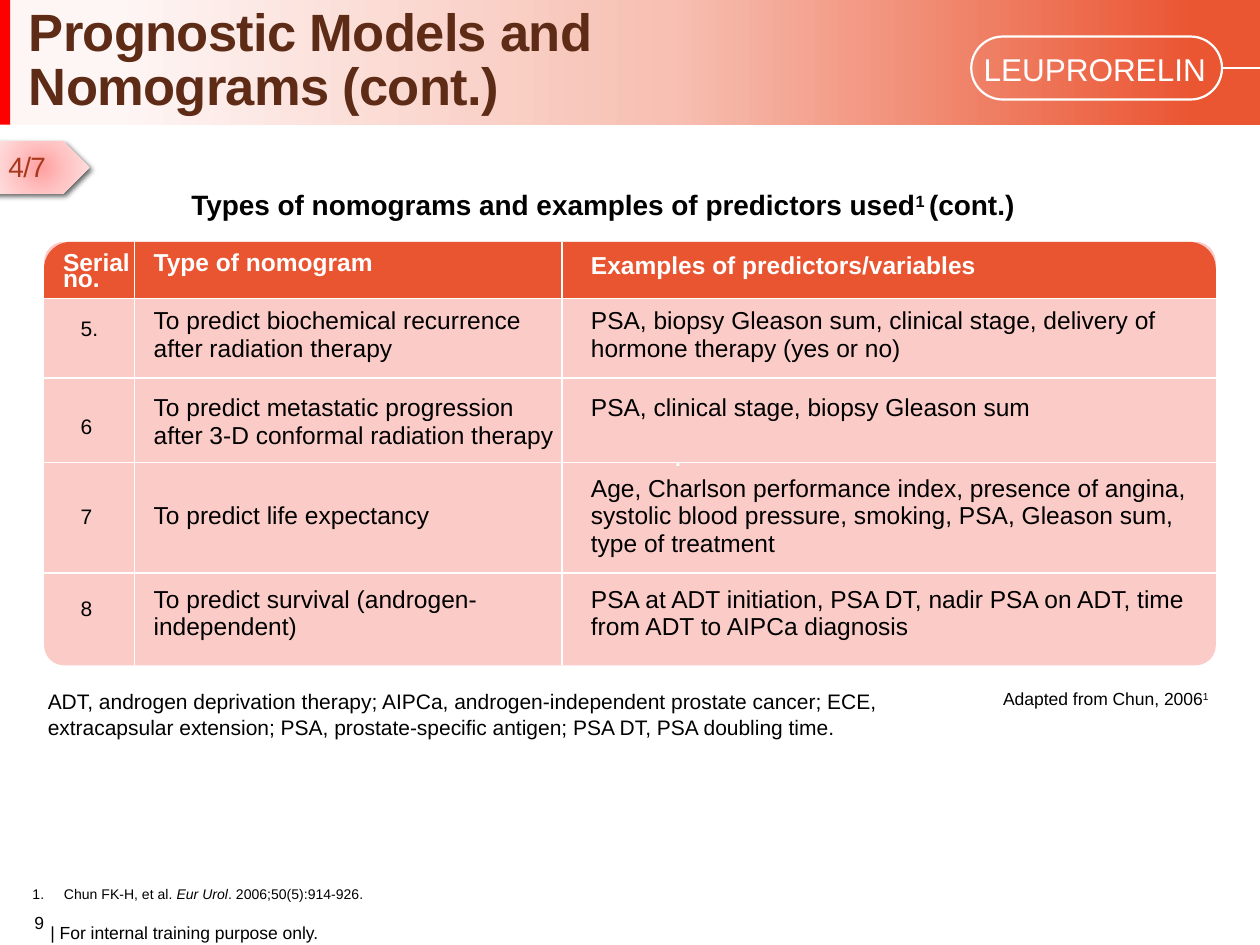
"""Build the slide on prognostic models and nomograms."""
from lxml.etree import SubElement
from pptx import Presentation
from pptx.dml.color import RGBColor
from pptx.enum.shapes import MSO_CONNECTOR, MSO_SHAPE
from pptx.enum.text import MSO_ANCHOR, PP_ALIGN
from pptx.oxml.ns import qn
from pptx.util import Pt

WHITE = RGBColor(0xFF, 0xFF, 0xFF)
BLACK = RGBColor(0, 0, 0)
RED = RGBColor(0xFF, 0, 0)
ORANGE = RGBColor(0xE9, 0x55, 0x31)
PINK = RGBColor(0xFB, 0xCB, 0xC7)
BROWN = RGBColor(0x5E, 0x2C, 0x16)
RUST = RGBColor(0xA7, 0x38, 0x1D)
BANNER_STOPS = [(9, RGBColor(0xFE, 0xF6, 0xF5)), (53, RGBColor(0xF7, 0xC0, 0xB3)),
                (95, RGBColor(0xEA, 0x55, 0x32))]
TAG_STOPS = [(0, RGBColor(0xFF, 0xA0, 0xA0)), (50, RGBColor(0xFF, 0xC5, 0xC5)),
             (100, RGBColor(0xFF, 0xE3, 0xE3))]
NO_GRID_STYLE = "{2D5ABB26-0587-4C30-8999-92F81FD0307C}"

TABLE_LEFT, TABLE_TOP = 25.2, 138.2
COLUMN_WIDTHS = [51.8, 244.1, 373.7]
ROW_HEIGHTS = [32.4, 45.4, 48.2, 63.4, 52.6]
TABLE_WIDTH, TABLE_HEIGHT = sum(COLUMN_WIDTHS), sum(ROW_HEIGHTS)
HEADER_INDENTS = [10.8, 10.8, 16.6]
BODY_INDENTS = [20.9, 10.8, 16.6]
ROWS = [
    ["Serial\nno.", "Type of nomogram", "Examples of predictors/variables"],
    ["5.", "To predict biochemical recurrence after radiation therapy",
     "PSA, biopsy Gleason sum, clinical stage, delivery of hormone therapy (yes or no)"],
    ["6", "To predict metastatic progression after 3-D conformal radiation therapy",
     "PSA, clinical stage, biopsy Gleason sum"],
    ["7", "To predict life expectancy",
     "Age, Charlson performance index, presence of angina, systolic blood pressure, "
     "smoking, PSA, Gleason sum, type of treatment"],
    ["8", "To predict survival (androgen-independent)",
     "PSA at ADT initiation, PSA DT, nadir PSA on ADT, time from ADT to AIPCa diagnosis"],
]
TEXT_OFFSETS = [(4.3, 4.3, 5.8), (10.8, 5, 5), (21.6, 9.4, 9.4), (24.5, 23, 7.2), (13.7, 7.2, 7.2)]

TITLE = [("Prognostic Models and\vNomograms (cont.)", "")]
SUBTITLE = [("Types of nomograms and examples of predictors used", ""),
            ("1 ", "superscript"), ("(cont.)", "")]
ABBREVIATIONS = [("ADT, androgen deprivation therapy; AIPCa, androgen-independent prostate cancer; "
                  "ECE, extracapsular extension; PSA, prostate-specific antigen; PSA DT, "
                  "PSA doubling time.", "")]
SOURCE = [("Adapted from Chun, 2006", ""), ("1", "superscript")]
REFERENCE = [("Chun FK-H, et al. ", ""), ("Eur Urol", "italic"), (". 2006;50(5):914-926.", "")]


def style_font(font, size, color, bold=False):
    font.name, font.size, font.bold = "Arial", Pt(size), bold
    font.color.rgb = color


def add_shape(slide, kind, box, fill=None, line=None):
    shape = slide.shapes.add_shape(kind, *map(Pt, box))
    shape.shadow.inherit = False
    if fill is None:
        shape.fill.background()
    else:
        shape.fill.solid()
        shape.fill.fore_color.rgb = fill
    if line is None:
        shape.line.fill.background()
    else:
        shape.line.color.rgb = line
        shape.line.width = Pt(1.25)
    return shape


def add_color(parent, color):
    return SubElement(parent, qn("a:srgbClr"), val=str(color))


def set_gradient(shape, stops, radial=False):
    shape.fill.gradient()
    gradient = shape._element.spPr.find(qn("a:gradFill"))
    for child in list(gradient):
        gradient.remove(child)
    stop_list = SubElement(gradient, qn("a:gsLst"))
    for position, color in stops:
        add_color(SubElement(stop_list, qn("a:gs"), pos=str(position * 1000)), color)
    if radial:
        circle = SubElement(gradient, qn("a:path"), {"path": "circle"})
        SubElement(circle, qn("a:fillToRect"), {side: "50000" for side in "ltrb"})
    else:
        SubElement(gradient, qn("a:lin"), ang="0", scaled="0")


def add_drop_shadow(shape):
    effects = shape._element.spPr.find(qn("a:effectLst"))
    shadow = SubElement(effects, qn("a:outerShdw"), blurRad=str(Pt(3)), dist=str(Pt(2)),
                        dir="2700000", algn="tl", rotWithShape="0")
    SubElement(add_color(shadow, BLACK), qn("a:alpha"), val="60000")


def add_text(slide, box, runs, size, color=BLACK, bold=False, align=PP_ALIGN.LEFT,
             anchor=MSO_ANCHOR.TOP, inset=True, spacing=None, tracking=None, wrap=True):
    frame = slide.shapes.add_textbox(*map(Pt, box)).text_frame
    frame.word_wrap, frame.vertical_anchor = wrap, anchor
    if not inset:
        frame.margin_left = frame.margin_right = frame.margin_top = frame.margin_bottom = 0
    paragraph = frame.paragraphs[0]
    paragraph.alignment = align
    if spacing:
        paragraph.line_spacing = spacing
    for text, emphasis in runs:
        if "\v" in text:
            paragraph.text = text
            continue
        run = paragraph.add_run()
        run.text = text
        if emphasis == "italic":
            run.font.italic = True
        elif emphasis == "superscript":
            run.font._element.set("baseline", "30000")
    if tracking:
        for run in paragraph.runs:
            run.font._element.set("spc", str(tracking))
    style_font(paragraph.font, size, color, bold)
    return paragraph


def add_border(cell, side):
    line = SubElement(cell._tc.get_or_add_tcPr(), qn(f"a:{side}"), w=str(Pt(1)))
    add_color(SubElement(line, qn("a:solidFill")), WHITE)


def add_nomogram_table(slide):
    frame = slide.shapes.add_table(len(ROWS), len(COLUMN_WIDTHS), Pt(TABLE_LEFT), Pt(TABLE_TOP),
                                   Pt(TABLE_WIDTH), Pt(TABLE_HEIGHT))
    table = frame.table
    table.horz_banding = False
    table._tbl.tblPr.find(qn("a:tableStyleId")).text = NO_GRID_STYLE
    for column, width in zip(table.columns, COLUMN_WIDTHS):
        column.width = Pt(width)
    for row_index, (texts, height, offsets) in enumerate(zip(ROWS, ROW_HEIGHTS, TEXT_OFFSETS)):
        table.rows[row_index].height = Pt(height)
        header = row_index == 0
        indents = HEADER_INDENTS if header else BODY_INDENTS
        for column_index, text in enumerate(texts):
            cell = table.cell(row_index, column_index)
            cell.text = text
            cell.margin_left, cell.margin_top = Pt(indents[column_index]), Pt(offsets[column_index])
            cell.margin_right = cell.margin_bottom = 0
            if column_index > 0:
                add_border(cell, "lnL")
            if column_index < len(texts) - 1:
                add_border(cell, "lnR")
            if row_index > 0:
                add_border(cell, "lnT")
            if row_index < len(ROWS) - 1:
                add_border(cell, "lnB")
            cell.fill.background()
            size = 14 if header or column_index else 12
            for paragraph in cell.text_frame.paragraphs:
                style_font(paragraph.font, size, WHITE if header else BLACK, header)
    table.cell(0, 0).text_frame.paragraphs[1].line_spacing = 0.5


def main():
    presentation = Presentation()
    presentation.slide_width, presentation.slide_height = Pt(720), Pt(540)
    slide = presentation.slides.add_slide(presentation.slide_layouts[6])

    banner = add_shape(slide, MSO_SHAPE.RECTANGLE, (-0.7, 0, 720.7, 71.3), WHITE)
    set_gradient(banner, BANNER_STOPS)
    add_shape(slide, MSO_SHAPE.RECTANGLE, (-0.7, 0, 6.5, 71.3), RED)
    add_text(slide, (28.8, 525.6, 340, 14.4), [("| For internal training purpose only.", "")], 10,
             anchor=MSO_ANCHOR.MIDDLE, inset=False)
    add_text(slide, (0, 519.8, 25.2, 14.4), [("9", "")], 10, align=PP_ALIGN.RIGHT,
             anchor=MSO_ANCHOR.MIDDLE, inset=False)

    pill = add_shape(slide, MSO_SHAPE.ROUNDED_RECTANGLE, (555, 20.9, 143.3, 36), line=WHITE)
    pill.adjustments[0] = 0.5
    stem = slide.shapes.add_connector(MSO_CONNECTOR.STRAIGHT, Pt(698.3), Pt(38.9), Pt(720), Pt(38.9))
    stem.begin_connect(pill, 3)
    stem.line.color.rgb = WHITE
    stem.line.width = Pt(1.4)
    SubElement(stem._element.spPr, qn("a:effectLst"))
    add_text(slide, (555, 25.2, 146.2, 29), [("LEUPRORELIN", "")], 18, WHITE)
    add_text(slide, (9.4, 19.4, 559.4, 50.4), TITLE, 30, BROWN, True, anchor=MSO_ANCHOR.BOTTOM,
             spacing=0.85, tracking=-40)

    tag = add_shape(slide, MSO_SHAPE.PENTAGON, (-3.6, 80.6, 54.7, 30.2), WHITE)
    set_gradient(tag, TAG_STOPS, radial=True)
    add_drop_shadow(tag)
    add_text(slide, (-2.2, 82.1, 36, 26.6), [("4/7", "")], 16, RUST, tracking=-40, wrap=False)
    add_text(slide, (-17.3, 103.7, 723.6, 26.6), SUBTITLE, 16, bold=True, align=PP_ALIGN.CENTER)
    add_text(slide, (20.2, 390.2, 500.4, 36), ABBREVIATIONS, 12)

    panel = add_shape(slide, MSO_SHAPE.ROUNDED_RECTANGLE,
                      (TABLE_LEFT, TABLE_TOP, TABLE_WIDTH, TABLE_HEIGHT), PINK)
    panel.adjustments[0] = 0.047
    panel.text_frame.margin_left = Pt(62)
    panel.text_frame.vertical_anchor = MSO_ANCHOR.MIDDLE
    dot = panel.text_frame.paragraphs[0]
    dot.text, dot.alignment = ".", PP_ALIGN.CENTER
    style_font(dot.font, 18, WHITE)
    header = add_shape(slide, MSO_SHAPE.ROUND_2_SAME_RECTANGLE,
                       (TABLE_LEFT, TABLE_TOP, TABLE_WIDTH, ROW_HEIGHTS[0]), ORANGE)
    header.adjustments[0] = 0.47
    add_nomogram_table(slide)

    add_text(slide, (555.8, 389.5, 141.8, 19.4), SOURCE, 10, align=PP_ALIGN.RIGHT)
    reference = add_text(slide, (11.5, 501.8, 208.8, 17.3), REFERENCE, 8, anchor=MSO_ANCHOR.BOTTOM)
    properties = reference._p.get_or_add_pPr()
    properties.set("marL", str(Pt(18)))
    properties.set("indent", str(Pt(-18)))
    numbering = properties.makeelement(qn("a:buAutoNum"), {"type": "arabicPeriod"})
    properties.insert(0, numbering)

    presentation.save("out.pptx")


if __name__ == "__main__":
    main()
